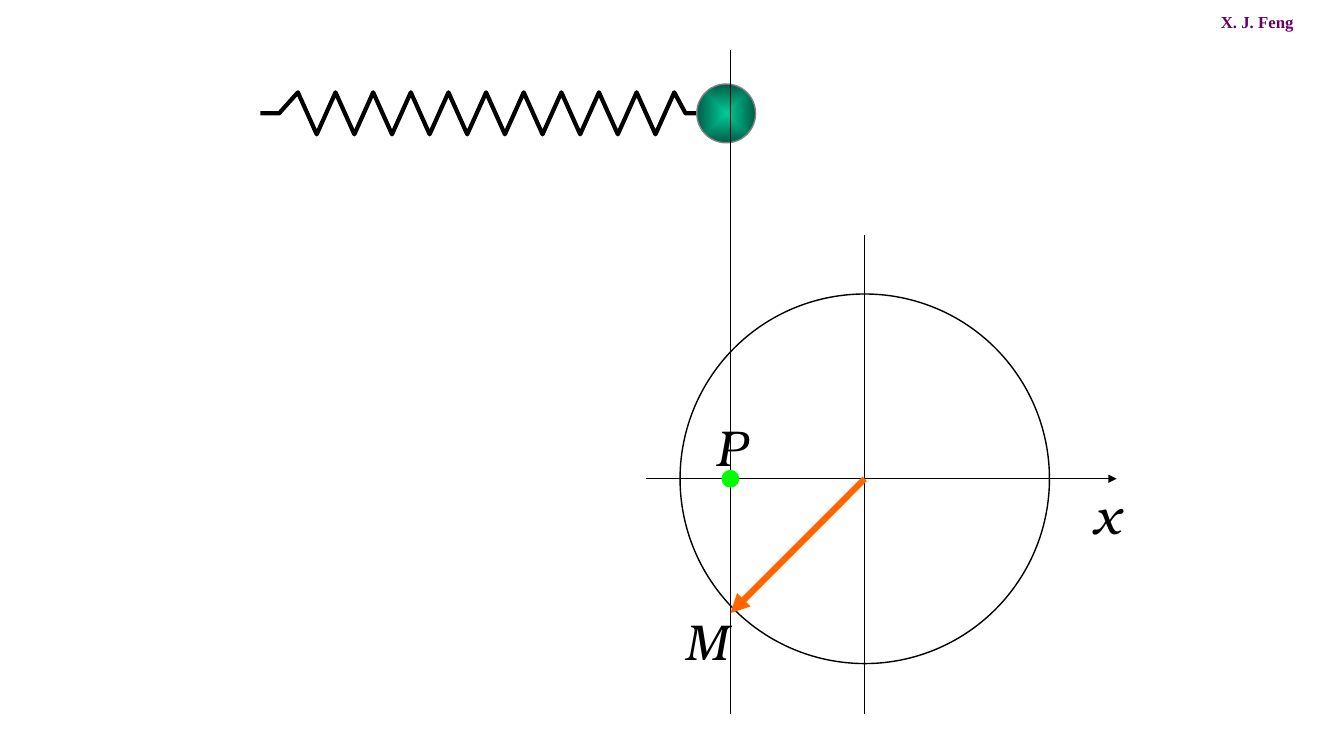
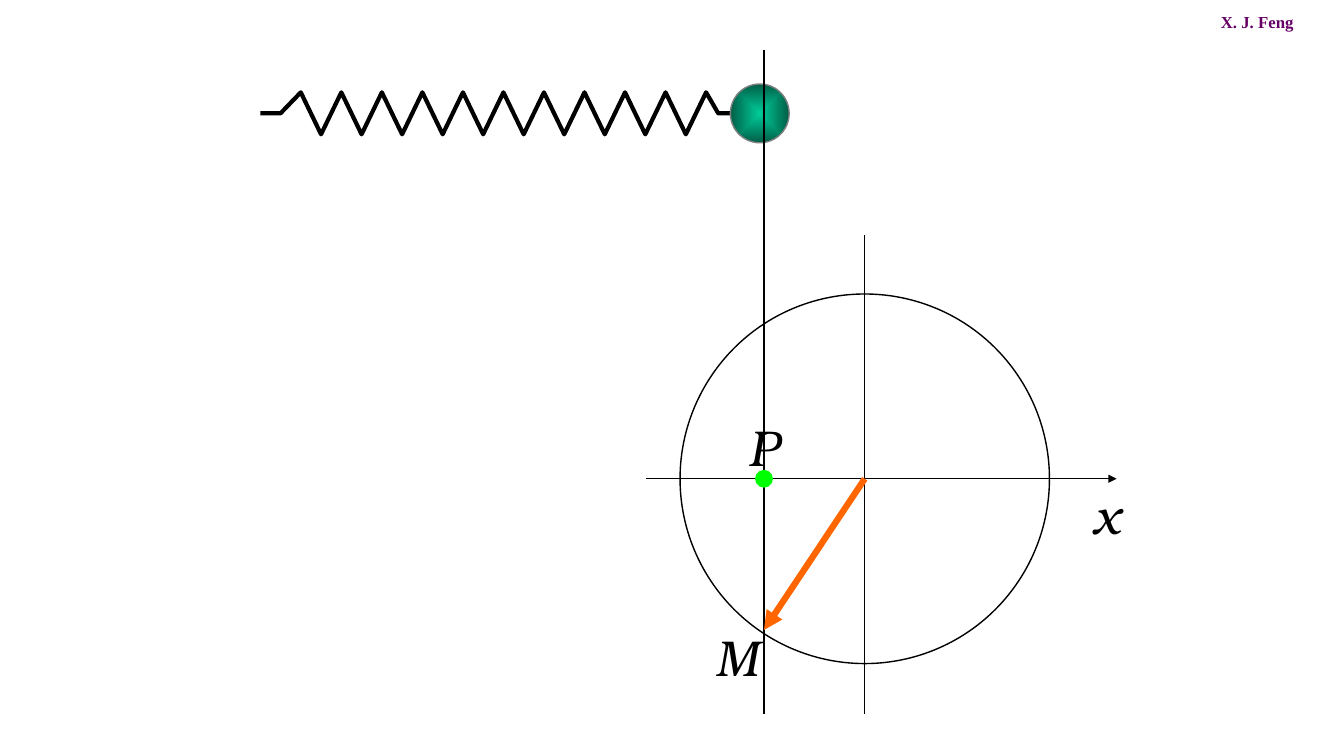
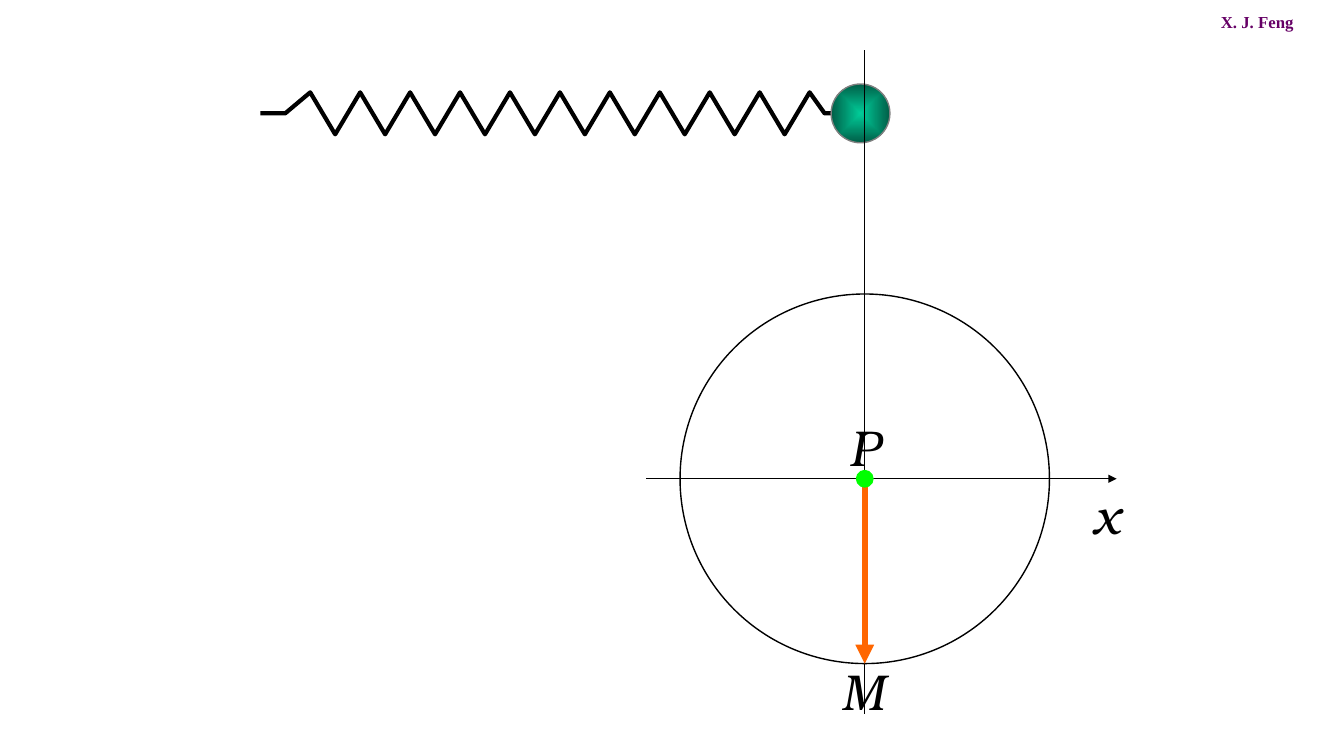
from lxml.etree import SubElement
from pptx import Presentation
from pptx.dml.color import RGBColor
from pptx.enum.shapes import MSO_CONNECTOR as CONNECTOR, MSO_SHAPE as SHAPE
from pptx.enum.text import MSO_AUTO_SIZE as AUTO_SIZE
from pptx.oxml.ns import qn
from pptx.util import Pt

BLACK = RGBColor(0x00, 0x00, 0x00)
PURPLE = RGBColor(0x66, 0x00, 0x66)
ORANGE = RGBColor(0xFF, 0x66, 0x00)
GREEN = RGBColor(0x00, 0xFF, 0x00)
GRAY = RGBColor(0x80, 0x80, 0x80)
BALL_LIGHT = RGBColor(0x00, 0xCC, 0x99)
BALL_DARK = RGBColor(0x00, 0x5E, 0x47)

# Shared geometry, in points
CENTER_X, CENTER_Y, RADIUS = 618, 342, 132
AXIS_BOTTOM = 510
SPRING_LEFT, SPRING_TOP, SPRING_MID, SPRING_BOTTOM = 186, 66, 81, 96
BALL_SIZE, DOT_SIZE = 42, 12

# Projection x, spring end, tip y of the rotating vector, left of label M
POSITIONS = [
    (522, 498, 438, 482.4),
    (546, 522, 450, 504),
    (618, 600, 474, 594),
]


def add_line(shapes, x1, y1, x2, y2, color=BLACK, width=1, arrow=False):
    line = shapes.add_connector(CONNECTOR.STRAIGHT, Pt(x1), Pt(y1), Pt(x2), Pt(y2))
    line.line.color.rgb = color
    line.line.width = Pt(width)
    properties = line._element.spPr
    if arrow:
        SubElement(properties.find(qn("a:ln")), qn("a:tailEnd"), type="triangle")
    SubElement(properties, qn("a:effectLst"))


def add_label(shapes, text, left, top, width, height=50.4, size=36,
              face="TeX Gyre Bonum", color=BLACK, bold=False, italic=True):
    frame = shapes.add_textbox(Pt(left), Pt(top), Pt(width), Pt(height)).text_frame
    frame.word_wrap = False
    frame.auto_size = AUTO_SIZE.SHAPE_TO_FIT_TEXT
    frame.text = text
    font = frame.paragraphs[0].runs[0].font
    font.name, font.size, font.color.rgb = face, Pt(size), color
    font.bold, font.italic = bold, italic


prs = Presentation()
prs.slide_width, prs.slide_height = Pt(960.48), Pt(540)

for point_x, spring_right, tip_y, m_left in POSITIONS:
    shapes = prs.slides.add_slide(prs.slide_layouts[6]).shapes

    # Author
    add_label(shapes, "X. J. Feng", 865.44, 4.5, 90.72, 21.6, size=12,
              face="Times New Roman", color=PURPLE, bold=True, italic=False)

    # Spring: a lead, 21 zigzag strokes and a short end, 23.2 steps in all
    step = (spring_right - SPRING_LEFT) / 23.2
    corners = [(1, SPRING_MID)]
    corners += [(k, SPRING_BOTTOM if k % 2 else SPRING_TOP) for k in range(2, 23)]
    corners += [(22.6, SPRING_MID), (23.2, SPRING_MID)]
    builder = shapes.build_freeform(Pt(SPRING_LEFT), Pt(SPRING_MID))
    builder.add_line_segments(
        [(Pt(SPRING_LEFT + k * step), Pt(y)) for k, y in corners], close=False)
    spring = builder.convert_to_shape()
    spring.shadow.inherit = False
    spring.fill.background()
    spring.line.color.rgb = BLACK
    spring.line.width = Pt(3)
    SubElement(spring._element.spPr.find(qn("a:ln")), qn("a:round"))

    # Ball with its projection line
    oscillator = shapes.add_group_shape().shapes
    ball = oscillator.add_shape(SHAPE.OVAL, Pt(point_x - 24), Pt(60),
                                Pt(BALL_SIZE), Pt(BALL_SIZE))
    ball.shadow.inherit = False
    ball.fill.gradient()
    for stop, color in zip(ball.fill.gradient_stops, (BALL_LIGHT, BALL_DARK)):
        stop.color.rgb = color
    gradient = ball._element.spPr.find(qn("a:gradFill"))
    gradient.remove(gradient.find(qn("a:lin")))
    radial = SubElement(gradient, qn("a:path"), path="rect")
    SubElement(radial, qn("a:fillToRect"), l="50000", t="50000", r="50000", b="50000")
    ball.line.color.rgb = GRAY
    ball.line.width = Pt(1)
    add_line(oscillator, point_x, 36, point_x, AXIS_BOTTOM)

    # Reference circle with axes
    reference = shapes.add_group_shape().shapes
    circle = reference.add_shape(SHAPE.OVAL, Pt(CENTER_X - RADIUS), Pt(CENTER_Y - RADIUS),
                                 Pt(2 * RADIUS), Pt(2 * RADIUS))
    circle.shadow.inherit = False
    circle.fill.background()
    circle.line.color.rgb = BLACK
    circle.line.width = Pt(1)
    add_line(reference, 462, CENTER_Y, 798, CENTER_Y, arrow=True)
    add_line(reference, CENTER_X, 168, CENTER_X, AXIS_BOTTOM)
    add_label(reference, "x", 774, CENTER_Y, 33.84)

    # Rotating vector and the labels of M and P
    add_line(shapes, CENTER_X, CENTER_Y, point_x, tip_y, ORANGE, 4.5, arrow=True)
    add_label(shapes, "M", m_left, tip_y - 6, 45.36)
    add_label(shapes, "P", point_x - 18, 294, 36)

    # Projected point
    dot = shapes.add_shape(SHAPE.OVAL, Pt(point_x - DOT_SIZE / 2),
                           Pt(CENTER_Y - DOT_SIZE / 2), Pt(DOT_SIZE), Pt(DOT_SIZE))
    dot.shadow.inherit = False
    dot.fill.solid()
    dot.fill.fore_color.rgb = GREEN
    dot.line.color.rgb = GREEN
    dot.line.width = Pt(0.75)

prs.save("out.pptx")
